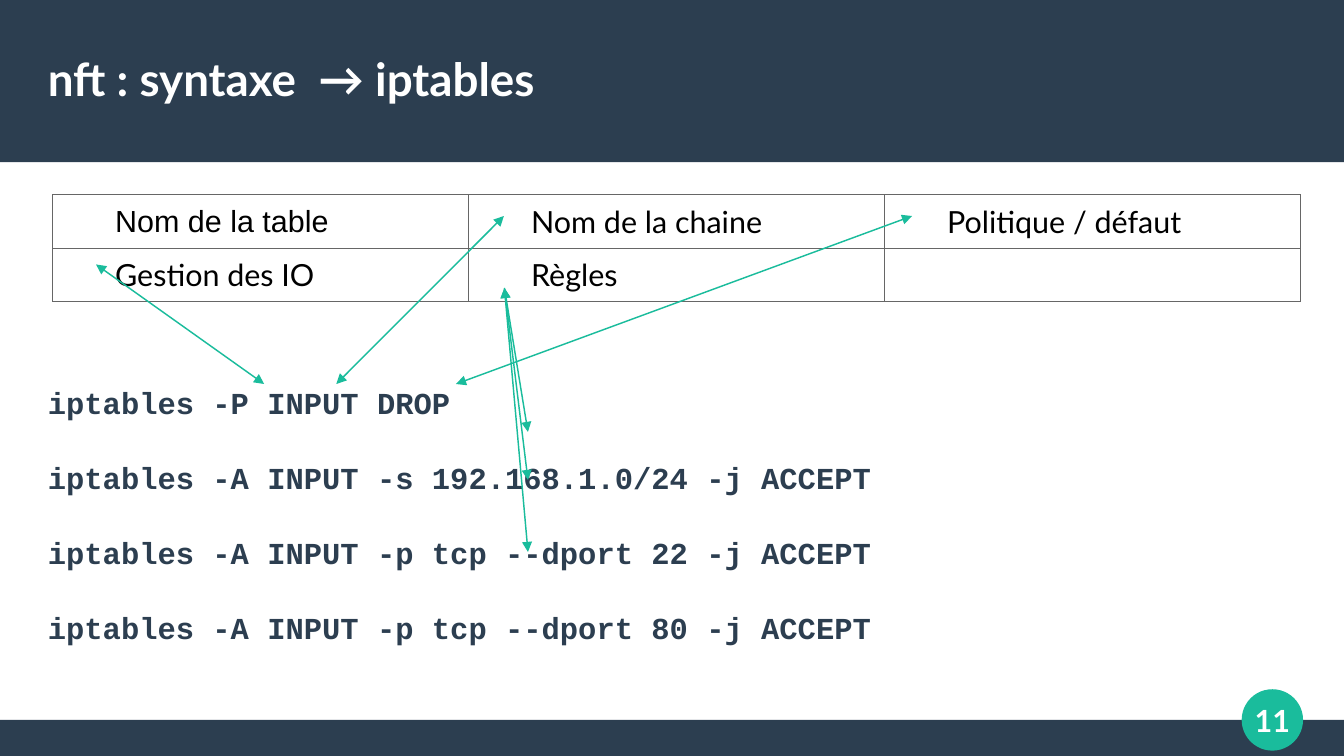
from lxml import etree
from pptx import Presentation
from pptx.dml.color import RGBColor
from pptx.enum.shapes import MSO_CONNECTOR, MSO_SHAPE
from pptx.enum.text import MSO_ANCHOR, PP_ALIGN
from pptx.oxml.ns import qn
from pptx.util import Pt

RECT, OVAL = MSO_SHAPE.RECTANGLE, MSO_SHAPE.OVAL
STRAIGHT = MSO_CONNECTOR.STRAIGHT
TOP, MIDDLE = MSO_ANCHOR.TOP, MSO_ANCHOR.MIDDLE
LEFT, CENTER = PP_ALIGN.LEFT, PP_ALIGN.CENTER

WIDE, HIGH = 793.7, 446.5
COLORS = {"navy": "2C3E50", "teal": "1ABC9C", "white": "FFFFFF",
          "black": "000000", "grey": "666666"}
SANS, PLAIN, MONO = "Lato", "Arial", "Courier New"

CELLS = [["Nom de la table", "Nom de la chaine", "Politique / défaut"],
         ["Gestion des IO", "Règles", ""]]
RULES = ["iptables -P INPUT DROP",
         "iptables -A INPUT -s 192.168.1.0/24 -j ACCEPT",
         "iptables -A INPUT -p tcp --dport 22 -j ACCEPT",
         "iptables -A INPUT -p tcp --dport 80 -j ACCEPT"]


def color(name):
    return RGBColor.from_string(COLORS[name])


class Page:
    def __init__(self, deck):
        self.slide = deck.slides.add_slide(deck.slide_layouts[6])
        self.shapes = self.slide.shapes
        self.stroke = 0.85

    def style(self, para, size, font, ink, bold):
        para.font.size = Pt(size)
        for run in para.runs:
            run.font.size = Pt(size)
            run.font.name = font
            run.font.bold = bold
            run.font.color.rgb = color(ink)

    def shape(self, kind, box, fill, line=False):
        item = self.shapes.add_shape(kind, *map(Pt, box))
        item.shadow.inherit = False
        item.fill.solid()
        item.fill.fore_color.rgb = color(fill)
        if line:
            item.line.color.rgb = color(fill)
            item.line.width = Pt(self.stroke)
        else:
            item.line.fill.background()

    def text(self, box, lines, size, font, ink, anchor=TOP, align=LEFT, gap=0):
        """Add bold lines, with gap points between them."""
        frame = self.shapes.add_textbox(*map(Pt, box)).text_frame
        frame.word_wrap = True
        frame.vertical_anchor = anchor
        frame.margin_left = frame.margin_right = 0
        frame.margin_top = frame.margin_bottom = 0
        frame.text = "\n".join(lines)
        for i, para in enumerate(frame.paragraphs):
            para.alignment = align
            if i and gap:
                para.space_before = Pt(gap)
            self.style(para, size, font, ink, True)

    def border(self, cell, width, ink):
        props = cell._tc.get_or_add_tcPr()
        for i, side in enumerate(("a:lnL", "a:lnR", "a:lnT", "a:lnB")):
            edge = etree.Element(qn(side), w=str(Pt(width)))
            fill = etree.SubElement(edge, qn("a:solidFill"))
            etree.SubElement(fill, qn("a:srgbClr"), val=COLORS[ink])
            props.insert(i, edge)

    def table(self, box, rows):
        frame = self.shapes.add_table(len(rows), len(rows[0]), *map(Pt, box))
        grid = frame.table
        grid.first_row = grid.horz_banding = False
        for r, row in enumerate(rows):
            for c, word in enumerate(row):
                cell = grid.cell(r, c)
                cell.fill.solid()
                cell.fill.fore_color.rgb = color("white")
                cell.vertical_anchor = MIDDLE
                cell.margin_left, cell.margin_right = Pt(36.8), Pt(2.9)
                cell.margin_top = cell.margin_bottom = Pt(3.6)
                cell.text_frame.text = word
                font = PLAIN if r == c == 0 else SANS
                self.style(cell.text_frame.paragraphs[0], 18, font, "black", False)
                self.border(cell, 0.57, "grey")

    def arrow(self, start, end, both=True):
        item = self.shapes.add_connector(STRAIGHT, *map(Pt, start + end))
        item.line.color.rgb = color("teal")
        item.line.width = Pt(self.stroke)
        line = item.line._get_or_add_ln()
        for tag in ("a:headEnd", "a:tailEnd") if both else ("a:tailEnd",):
            etree.SubElement(line, qn(tag), type="triangle")
        etree.SubElement(item._element.spPr, qn("a:effectLst"))


def main():
    deck = Presentation()
    deck.slide_width, deck.slide_height = Pt(WIDE), Pt(HIGH)
    page = Page(deck)

    page.shape(RECT, (0, 425.2, WIDE, 21.3), "navy")
    page.shape(RECT, (0, 0, WIDE, 95.8), "navy")
    page.shape(OVAL, (733.7, 407.5, 35.4, 35.4), "teal", line=True)
    page.text((723, 404, 56.8, 42.5), ["11"], 18, SANS, "white", MIDDLE, CENTER)
    page.text((28.3, 18, 737, 56.8), ["nft : syntaxe  → iptables"],
              27, SANS, "white", MIDDLE)
    page.table((31.2, 115, 737, 63.2), CELLS)
    page.text((28.3, 226.8, 737, 141.8), RULES, 18, MONO, "navy", gap=22.7)

    chain, policy, output = (297.6, 127.6), (538.6, 127.6), (56.7, 156.2)
    rule = (297.9, 170.1)
    page.arrow(chain, (198.6, 226.8))
    page.arrow(rule, (311.8, 255.1), both=False)
    page.arrow(policy, (269.3, 226.8))
    page.arrow(output, (156, 226.8))
    for y in (283.5, 326):
        page.arrow(rule, (311.8, y))

    deck.save("out.pptx")


if __name__ == "__main__":
    main()
